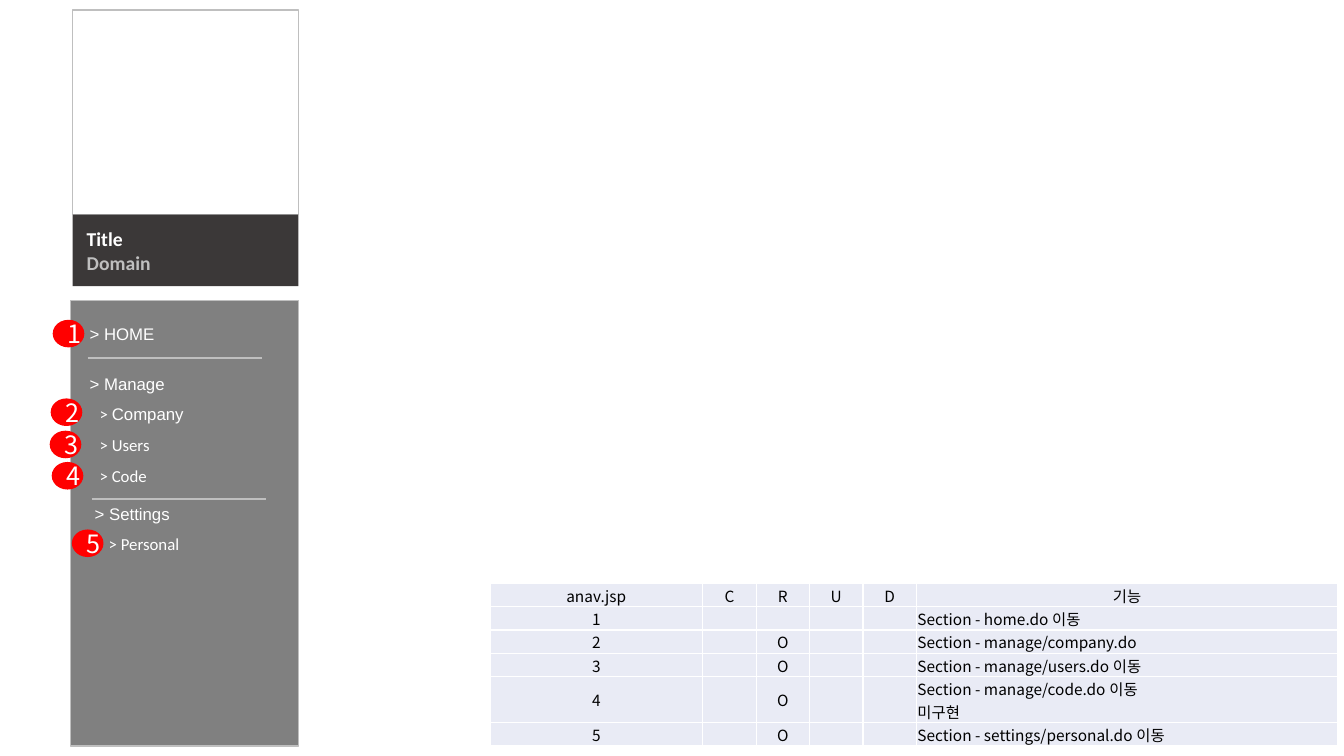
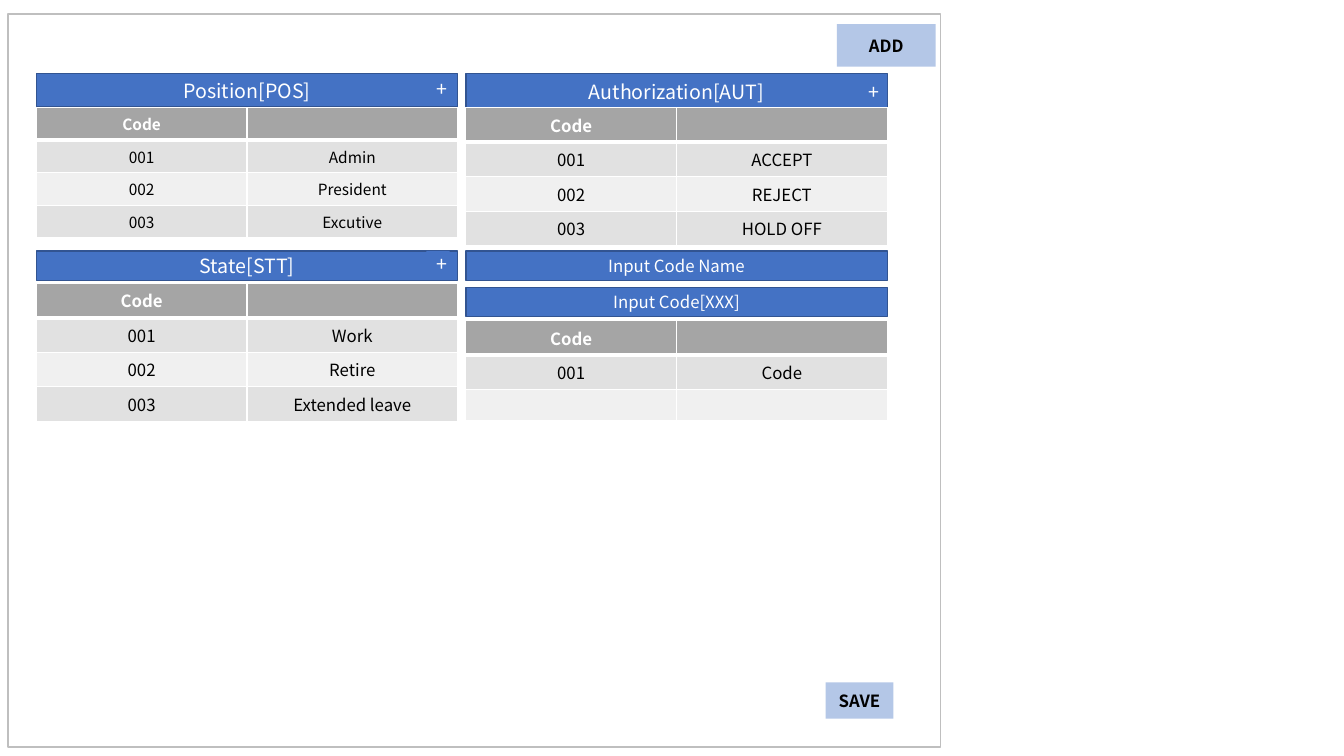
from lxml.etree import SubElement
from pptx import Presentation
from pptx.dml.color import RGBColor
from pptx.enum.shapes import MSO_CONNECTOR, MSO_SHAPE
from pptx.enum.text import MSO_ANCHOR, MSO_AUTO_SIZE, PP_ALIGN
from pptx.oxml.ns import qn
from pptx.util import Inches, Pt

WHITE = RGBColor(0xFF, 0xFF, 0xFF)
BLACK = RGBColor(0x00, 0x00, 0x00)
RED = RGBColor(0xFF, 0x00, 0x00)
SILVER = RGBColor(0xBF, 0xBF, 0xBF)
GRAY = RGBColor(0x80, 0x80, 0x80)
CHARCOAL = RGBColor(0x3B, 0x38, 0x38)
BLUE = RGBColor(0x44, 0x72, 0xC4)
DARK_BLUE = RGBColor(0x32, 0x54, 0x91)
LIGHT_BLUE = RGBColor(0xB4, 0xC7, 0xE7)
PALE_BLUE = RGBColor(0xE9, 0xEB, 0xF5)
HEADER_GRAY = RGBColor(0xA5, 0xA5, 0xA5)
BAND_DARK = RGBColor(0xE1, 0xE1, 0xE1)
BAND_LIGHT = RGBColor(0xF0, 0xF0, 0xF0)
NOTO = "Noto Sans CJK KR"


def write_text(paragraph, text, size, color=WHITE, name=NOTO, bold=False):
    """Append text to a paragraph, turning newlines into line breaks."""
    for index, line in enumerate(text.split("\n")):
        if index:
            paragraph.add_line_break()
        run = paragraph.add_run()
        run.text = line
        for attribute, value in {"size": Pt(size), "name": name, "bold": bold}.items():
            setattr(run.font, attribute, value)
        run.font.color.rgb = color
        SubElement(run.font._element, qn("a:ea"), typeface=name)


def add_box(slide, place, fill, line=None, text="", kind=MSO_SHAPE.RECTANGLE, **text_format):
    """Add a filled shape with centred text and return it."""
    shape = slide.shapes.add_shape(kind, *map(Inches, place))
    shape.shadow.inherit = False
    shape.fill.solid()
    shape.fill.fore_color.rgb = fill
    if line is None:
        shape.line.fill.background()
    else:
        shape.line.color.rgb = line
        shape.line.width = Pt(1)
    if text:
        shape.text_frame.vertical_anchor = MSO_ANCHOR.MIDDLE
        paragraph = shape.text_frame.paragraphs[0]
        paragraph.alignment = PP_ALIGN.CENTER
        write_text(paragraph, text, **text_format)
    return shape


presentation = Presentation()
presentation.slide_width = Inches(13.33)
presentation.slide_height = Inches(7.5)
blank_layout = presentation.slide_layouts[6]
menu_slide = presentation.slides.add_slide(blank_layout)
code_slide = presentation.slides.add_slide(blank_layout)

# Navigation menu
add_box(menu_slide, (0.72, 0.1, 2.24, 2.03), WHITE, SILVER)
title_box = add_box(menu_slide, (0.72, 2.13, 2.24, 0.71), CHARCOAL)
add_box(menu_slide, (0.7, 2.98, 2.26, 4.42), GRAY, SILVER)

title_frame = title_box.text_frame
title_frame.margin_left = Inches(0.14)
title_frame.vertical_anchor = MSO_ANCHOR.MIDDLE
title_paragraphs = (title_frame.paragraphs[0], title_frame.add_paragraph())
for paragraph, text, color in zip(title_paragraphs, ("Title", "Domain"), (WHITE, SILVER)):
    paragraph.alignment = PP_ALIGN.LEFT
    write_text(paragraph, text, 14, color, "Calibri", True)

for left, top in ((0.87, 3.55), (0.91, 4.95)):
    divider = menu_slide.shapes.add_connector(
        MSO_CONNECTOR.STRAIGHT, Inches(left), Inches(top), Inches(left + 1.73), Inches(top))
    divider.line.color.rgb = SILVER
    divider.line.width = Pt(1)
    SubElement(divider._element.spPr, qn("a:effectLst"))

badges = ((0.53, 3.18), (0.51, 3.96), (0.5, 4.28), (0.52, 4.59), (0.72, 5.26))
for number, (left, top) in enumerate(badges, 1):
    add_box(menu_slide, (left, top, 0.3, 0.26), RED, RED, str(number), MSO_SHAPE.OVAL, size=18)

menu_items = (
    (0.79, 3.16, "HOME", "Arial", "Arial"),
    (0.79, 3.66, "Manage", "Arial", "Arial"),
    (0.89, 3.96, "Company", "Calibri", "Arial"),
    (0.89, 4.26, "Users", "Calibri", "Calibri"),
    (0.89, 4.57, "Code", "Calibri", "Calibri"),
    (0.84, 4.95, "Settings", "Arial", "Arial"),
    (0.98, 5.25, "Personal", "Calibri", "Calibri"),
)
for left, top, label, marker_font, label_font in menu_items:
    item = menu_slide.shapes.add_textbox(Inches(left), Inches(top), Inches(1.98), Inches(0.3))
    item.text_frame.word_wrap = True
    item.text_frame.auto_size = MSO_AUTO_SIZE.SHAPE_TO_FIT_TEXT
    paragraph = item.text_frame.paragraphs[0]
    write_text(paragraph, "> ", 12, name=marker_font)
    write_text(paragraph, label, 12, name=label_font)

# Code management screen
LEFT_COLUMN, RIGHT_COLUMN, COLUMN_WIDTH = 0.36, 4.62, 4.18
add_box(code_slide, (0.08, 0.14, 9.25, 7.27), WHITE, SILVER)
for left, top, height, text, size in (
    (LEFT_COLUMN, 0.73, 0.33, "Position[POS]", 14),
    (RIGHT_COLUMN, 0.73, 0.35, "Authorization[AUT]", 14),
    (LEFT_COLUMN, 2.49, 0.29, "State[STT]", 14),
    (RIGHT_COLUMN, 2.49, 0.29, "Input Code Name", 12),
    (RIGHT_COLUMN, 2.85, 0.29, "Input Code[XXX]", 12),
):
    add_box(code_slide, (left, top, COLUMN_WIDTH, height), BLUE, DARK_BLUE, text, size=size)
for place in ((4.23, 0.76, 0.23, 0.24), (8.52, 0.79, 0.28, 0.23), (4.23, 2.49, 0.23, 0.26)):
    add_box(code_slide, place, BLUE, text="+", size=14)
for text, place in (("ADD", (8.3, 0.24, 0.98, 0.42)), ("SAVE", (8.19, 6.77, 0.67, 0.36))):
    add_box(code_slide, place, LIGHT_BLUE, text=text, size=12, color=BLACK, bold=True)

# Tables of both slides: slide, left, top, text size, column widths, row heights, rows
function_rows = (
    ("anav.jsp", "C", "R", "U", "D", "기능"),
    ("1", "", "", "", "", "Section - home.do 이동"),
    ("2", "", "O", "", "", "Section - manage/company.do"),
    ("3", "", "O", "", "", "Section - manage/users.do 이동"),
    ("4", "", "O", "", "", "Section - manage/code.do 이동\n미구현"),
    ("5", "", "O", "", "", "Section - settings/personal.do 이동"),
)
code_header = ("Code", "")
position_rows = (code_header, ("001", "Admin"), ("002", "President"), ("003", "Excutive"))
authorization_rows = (code_header, ("001", "ACCEPT"), ("002", "REJECT"), ("003", "HOLD OFF"))
state_rows = (code_header, ("001", "Work"), ("002", "Retire"), ("003", "Extended leave"))
input_rows = (code_header, ("001", "Code"), ("", ""))
function_widths = (2.11, 0.53, 0.53, 0.53, 0.53, 4.18)
function_heights = (0.23, 0.23, 0.23, 0.23, 0.46, 0.23)
code_widths = (COLUMN_WIDTH / 2,) * 2
tables = (
    (menu_slide, 4.86, 5.79, 11, function_widths, function_heights, function_rows),
    (code_slide, LEFT_COLUMN, 1.07, 11, code_widths, (0.31,) * 4, position_rows),
    (code_slide, RIGHT_COLUMN, 1.07, 12, code_widths, (0.31,) * 4, authorization_rows),
    (code_slide, LEFT_COLUMN, 2.81, 12, code_widths, (0.3,) * 4, state_rows),
    (code_slide, RIGHT_COLUMN, 3.18, 12, code_widths, (0.27,) * 3, input_rows),
)
for slide, left, top, size, widths, heights, rows in tables:
    table = slide.shapes.add_table(
        len(rows), len(widths), Inches(left), Inches(top),
        Inches(sum(widths)), Inches(sum(heights))).table
    for column, width in zip(table.columns, widths):
        column.width = Inches(width)
    for row, height in zip(table.rows, heights):
        row.height = Inches(height)

    is_code_table = slide is code_slide
    for row_index, row_texts in enumerate(rows):
        is_header = is_code_table and row_index == 0
        if is_header:
            fill = HEADER_GRAY
        elif is_code_table:
            fill = BAND_DARK if row_index % 2 else BAND_LIGHT
        else:
            fill = PALE_BLUE
        for column_index, text in enumerate(row_texts):
            cell = table.cell(row_index, column_index)
            properties = cell._tc.get_or_add_tcPr()
            for side in ("lnL", "lnR", "lnT", "lnB"):
                thick = is_code_table and (row_index, side) in ((0, "lnB"), (1, "lnT"))
                border = SubElement(properties, qn(f"a:{side}"), w=str(Pt(3 if thick else 1)))
                border_fill = SubElement(border, qn("a:solidFill"))
                SubElement(border_fill, qn("a:srgbClr"), val=str(WHITE))
            cell.fill.solid()
            cell.fill.fore_color.rgb = fill
            if not is_code_table:
                cell.vertical_anchor = MSO_ANCHOR.MIDDLE
                cell.margin_left = cell.margin_right = cell.margin_top = Inches(0.01)
                cell.margin_bottom = 0
            paragraph = cell.text_frame.paragraphs[0]
            is_description = not is_code_table and row_index > 0 and column_index == 5
            paragraph.alignment = PP_ALIGN.LEFT if is_description else PP_ALIGN.CENTER
            if text:
                write_text(paragraph, text, size, WHITE if is_header else BLACK, bold=is_header)
            else:
                SubElement(paragraph._p, qn("a:endParaRPr"), sz=str(size * 100))

presentation.save("out.pptx")
